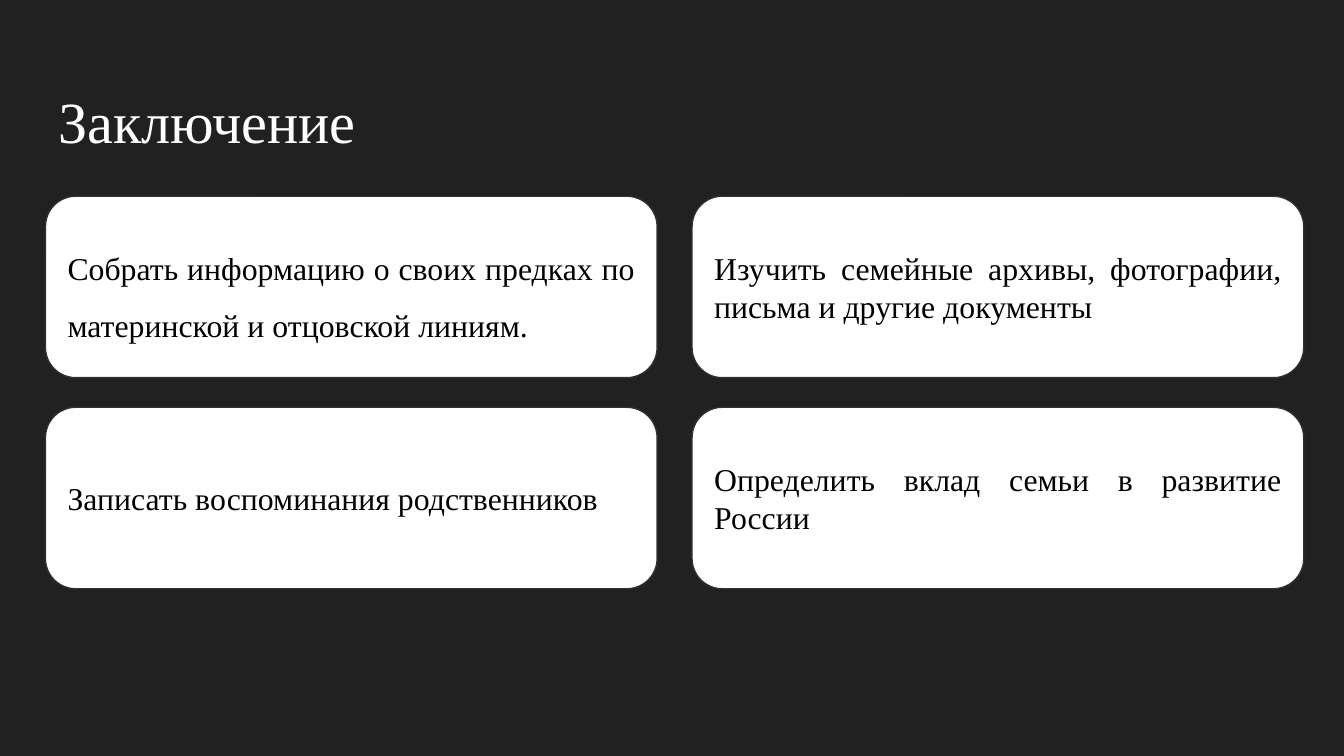
from pptx import Presentation
from pptx.dml.color import RGBColor
from pptx.enum.shapes import MSO_SHAPE
from pptx.enum.text import MSO_ANCHOR, MSO_AUTO_SIZE, PP_ALIGN
from pptx.util import Cm, Pt

ROUNDED = MSO_SHAPE.ROUNDED_RECTANGLE
TOP, MIDDLE = MSO_ANCHOR.TOP, MSO_ANCHOR.MIDDLE
LEFT, JUSTIFY = PP_ALIGN.LEFT, PP_ALIGN.JUSTIFY
NO_AUTOFIT = MSO_AUTO_SIZE.NONE

TITLE = "Заключение"
SPACED = {"line_spacing": 1.5, "space_before": Pt(12), "space_after": Pt(12)}
SINGLE = {"line_spacing": 1.0}
TASKS = [
    ("Собрать информацию о своих предках по материнской и отцовской линиям.", SPACED),
    ("Изучить семейные архивы, фотографии, письма и другие документы", SINGLE),
    ("Записать воспоминания родственников", SINGLE),
    ("Определить вклад семьи в развитие России", SINGLE),
]

THEME = {
    "font": "Times New Roman",
    "background": RGBColor.from_string("212121"),
    "title": RGBColor.from_string("FFFFFF"),
    "card": RGBColor.from_string("FFFFFF"),
    "outline": RGBColor.from_string("303030"),
    "text": RGBColor.from_string("000000"),
    "title_size": Pt(31.2),
    "text_size": Pt(17),
}

MARGIN, CARDS_TOP = 0.86, 3.71
CARD_WIDTH, CARD_HEIGHT = 11.56, 3.43
COLUMN_GAP, ROW_GAP = 0.66, 0.56
COLUMNS = 2
INSET, TITLE_INSET = 0.25, 0.38


def set_values(target, values):
    for name, value in values.items():
        setattr(target, name, value)


def write(shape, text, size, color, anchor, top_inset, paragraph_format):
    frame = shape.text_frame
    set_values(frame, {
        "word_wrap": True, "auto_size": NO_AUTOFIT, "vertical_anchor": anchor,
        "margin_left": Cm(INSET), "margin_right": Cm(INSET),
        "margin_top": Cm(top_inset), "margin_bottom": Cm(INSET),
    })
    para = frame.paragraphs[0]
    set_values(para, paragraph_format)
    span = para.add_run()
    span.text = text
    set_values(span.font, {"name": THEME["font"], "size": size})
    span.font.color.rgb = color


def add_title(slide):
    title = slide.shapes.title
    set_values(title, {"left": Cm(MARGIN), "top": Cm(1.24),
                       "width": Cm(23.67), "height": Cm(1.6)})
    write(title, TITLE, THEME["title_size"], THEME["title"], TOP, TITLE_INSET,
          {"alignment": LEFT, "line_spacing": 1.0, "space_before": Pt(0)})


def add_card(slide, index, text, spacing):
    row, column = divmod(index, COLUMNS)
    left = MARGIN + column * (CARD_WIDTH + COLUMN_GAP)
    top = CARDS_TOP + row * (CARD_HEIGHT + ROW_GAP)
    card = slide.shapes.add_shape(
        ROUNDED, Cm(left), Cm(top), Cm(CARD_WIDTH), Cm(CARD_HEIGHT))
    card.shadow.inherit = False
    card.fill.solid()
    card.fill.fore_color.rgb = THEME["card"]
    card.line.color.rgb = THEME["outline"]
    card.line.width = Pt(0.75)
    write(card, text, THEME["text_size"], THEME["text"], MIDDLE, INSET,
          {"alignment": JUSTIFY, **spacing})


def main():
    deck = Presentation()
    set_values(deck, {"slide_width": Cm(25.4), "slide_height": Cm(14.29)})
    slide = deck.slides.add_slide(deck.slide_layouts[5])
    slide.background.fill.solid()
    slide.background.fill.fore_color.rgb = THEME["background"]
    add_title(slide)
    for index, (text, spacing) in enumerate(TASKS):
        add_card(slide, index, text, spacing)
    deck.save("out.pptx")


if __name__ == "__main__":
    main()
